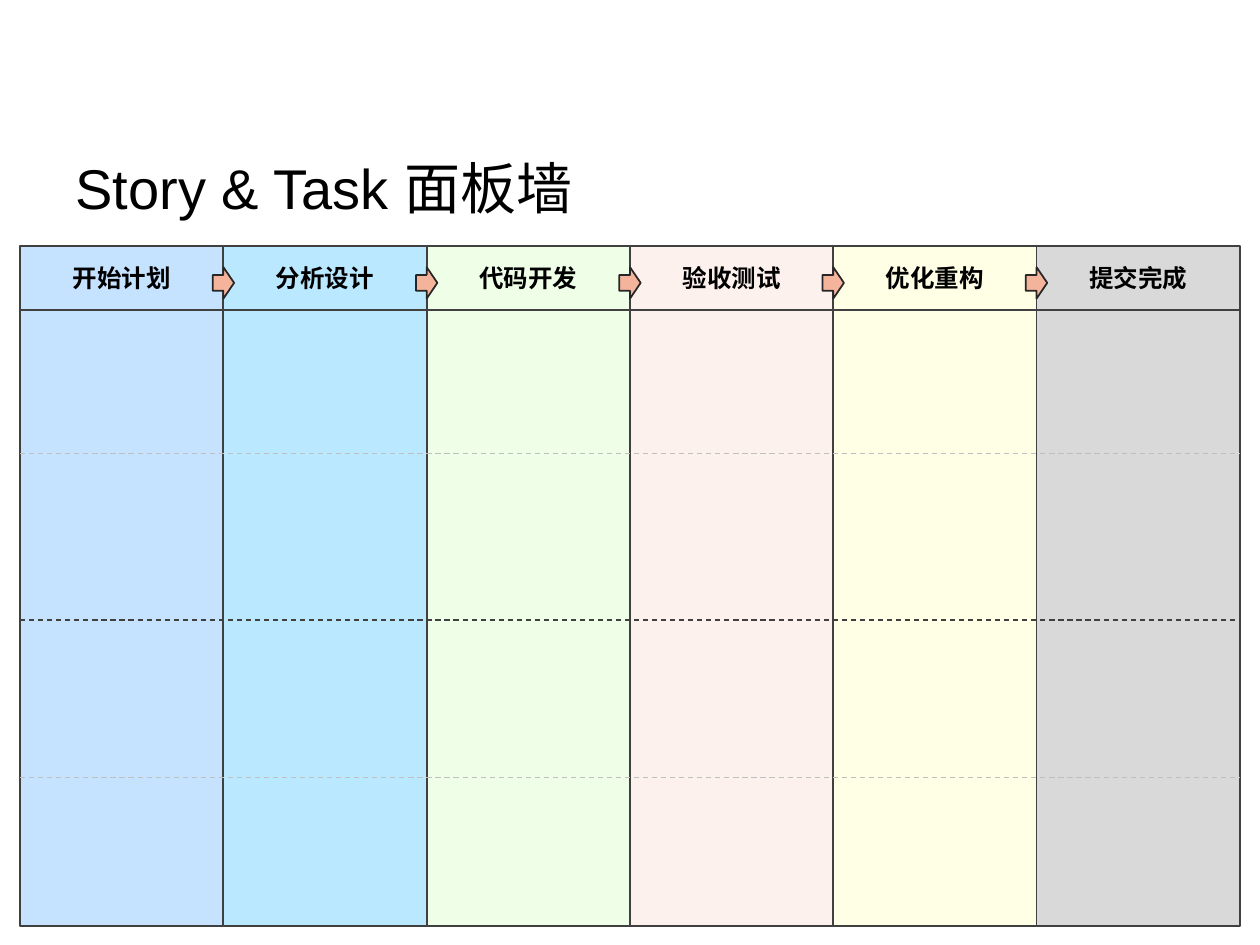
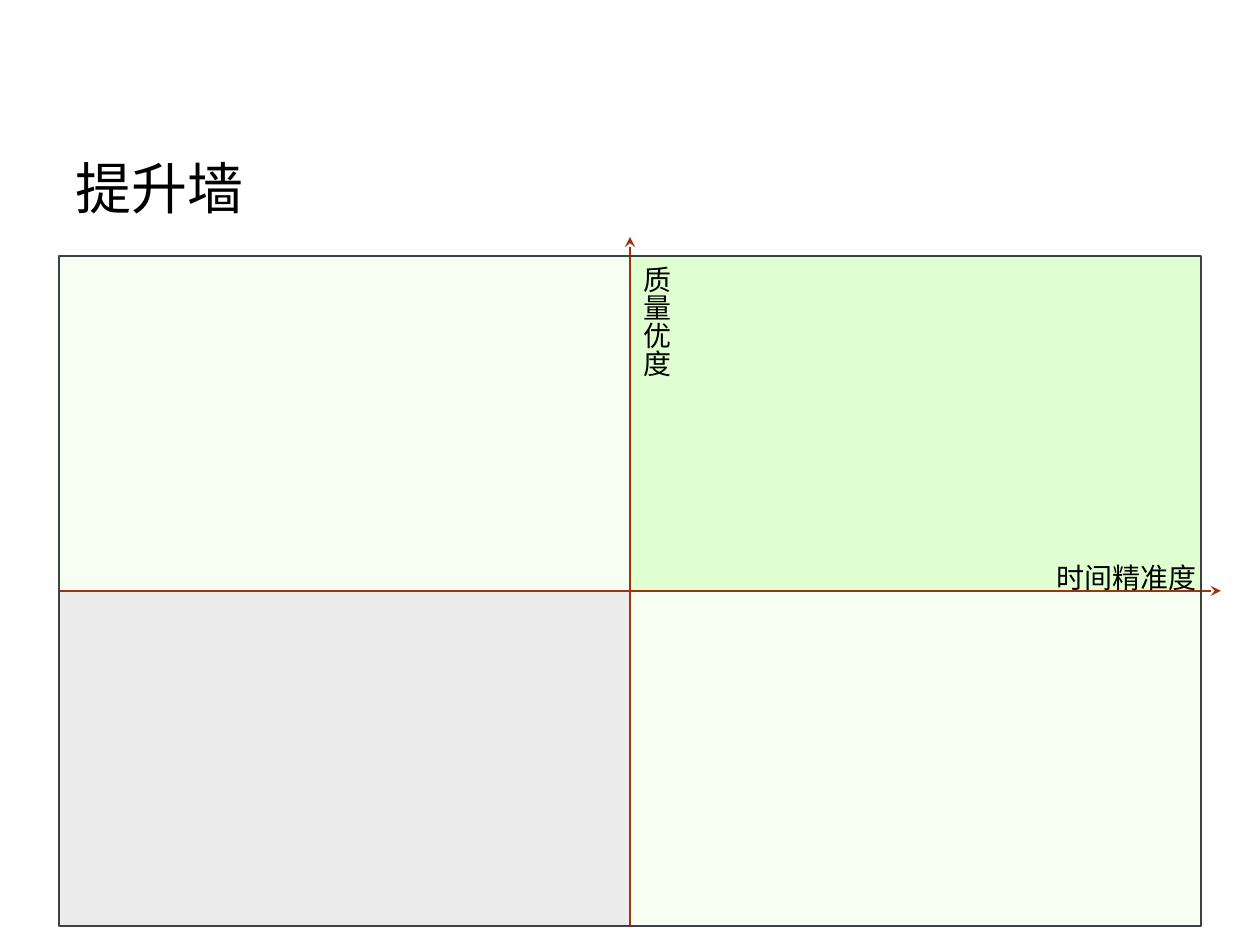
from dataclasses import dataclass

from lxml import etree
from pptx import Presentation
from pptx import util as u
from pptx.dml.color import RGBColor
from pptx.enum import dml, shapes, text
from pptx.oxml import ns

# Content
STAGES = [
    ("开始计划", "C5E2FF"),
    ("分析设计", "B9E8FF"),
    ("代码开发", "EFFFE7"),
    ("验收测试", "FDF1ED"),
    ("优化重构", "FFFFE5"),
    ("提交完成", "D9D9D9"),
]
# Swim lane dividers: height on the slide, colour
LANES = [(3.6, "BFBFBF"), (4.92, "404040"), (6.17, "BFBFBF")]
# Quadrants: column, row, colour
QUADRANTS = [(1, 1, "F7FFF3"), (0, 0, "F7FFF3"), (1, 0, "E0FFD1"), (0, 1, "ECECEC")]


@dataclass(frozen=True)
class Theme:
    ink: str = "000000"
    border: str = "404040"
    arrow: str = "F4B39B"
    arrow_border: str = "262626"
    axis: str = "9E340F"
    title_font: str = "Arial"
    body_font: str = "Calibri"
    title_size: int = 32
    stage_size: int = 14
    axis_size: int = 16


THEME = Theme()
WIDTH, HEIGHT, BOTTOM = 10, 7.5, 7.35


# Shared helpers
def write(frame, words, font, size, bold=False, align=text.PP_ALIGN.LEFT):
    paragraph = frame.paragraphs[0]
    paragraph.alignment = align
    run = paragraph.add_run()
    run.text = words
    run.font.name, run.font.size, run.font.bold = font, u.Pt(size), bold
    run.font.color.rgb = RGBColor.from_string(THEME.ink)


def new_slide(deck, heading):
    slide = deck.slides.add_slide(deck.slide_layouts[5])
    title = slide.shapes.title
    title.left, title.top = u.Inches(0.5), u.Inches(0.86)
    title.width, title.height = u.Inches(9), u.Inches(1.25)
    title.text_frame.vertical_anchor = text.MSO_ANCHOR.MIDDLE
    write(title.text_frame, heading, THEME.title_font, THEME.title_size)
    return slide


def block(slide, box, fill=None, border=None, kind=shapes.MSO_SHAPE.RECTANGLE):
    part = slide.shapes.add_shape(kind, *map(u.Inches, box))
    part.shadow.inherit = False
    if fill:
        part.fill.solid()
        part.fill.fore_color.rgb = RGBColor.from_string(fill)
    else:
        part.fill.background()
    if border:
        part.line.color.rgb = RGBColor.from_string(border)
        part.line.width = u.Pt(1)
    else:
        part.line.fill.background()
    return part


def rule(slide, start, end, color, width):
    line = slide.shapes.add_connector(
        shapes.MSO_CONNECTOR.STRAIGHT, *map(u.Inches, (*start, *end)))
    line.line.color.rgb = RGBColor.from_string(color)
    line.line.width = u.Pt(width)
    etree.SubElement(line._element.spPr, ns.qn("a:effectLst"))
    return line


def axis(slide, start, end):
    line = rule(slide, start, end, THEME.axis, 1.5)
    head = etree.SubElement(line.line._get_or_add_ln(), ns.qn("a:tailEnd"))
    head.set("type", "stealth")


def axis_label(slide, words, box, vertical=False):
    frame = slide.shapes.add_textbox(*map(u.Inches, box)).text_frame
    frame.word_wrap = False
    frame.auto_size = text.MSO_AUTO_SIZE.SHAPE_TO_FIT_TEXT
    if vertical:
        frame._txBody.bodyPr.set("vert", "eaVert")
    write(frame, words, THEME.body_font, THEME.axis_size)


# Slide 1: task board
def task_board(deck):
    slide = new_slide(deck, "Story & Task 面板墙")
    margin, top, header = 0.16, 1.95, 0.51
    column = (WIDTH - 2 * margin) / len(STAGES)
    body_top = top + header
    lefts = [margin + i * column for i in range(len(STAGES))]

    for left, (stage, color) in zip(lefts, STAGES):
        heading = block(slide, (left, top, column, header), color, THEME.border)
        heading.text_frame.vertical_anchor = text.MSO_ANCHOR.MIDDLE
        write(heading.text_frame, stage, THEME.body_font, THEME.stage_size,
              bold=True, align=text.PP_ALIGN.CENTER)

    # Arrows sit centred on the column boundaries
    arrow_width, arrow_height = 0.17, 0.25
    for left in lefts[1:]:
        block(slide, (left - arrow_width / 2, 2.12, arrow_width, arrow_height),
              THEME.arrow, THEME.arrow_border, shapes.MSO_SHAPE.RIGHT_ARROW)

    for left, (_, color) in zip(lefts, STAGES):
        block(slide, (left, body_top, column, BOTTOM - body_top), color, THEME.border)

    for y, color in LANES:
        lane = rule(slide, (margin, y), (WIDTH - margin, y), color, 0.75)
        lane.line.dash_style = dml.MSO_LINE.DASH


# Slide 2: improvement quadrants
def improvement_wall(deck):
    slide = new_slide(deck, "提升墙")
    left, top = 0.47, 2.03
    wide, high = (WIDTH - 2 * left) / 2, (BOTTOM - top) / 2
    center_x, center_y = left + wide, top + high

    for col, row, color in QUADRANTS:
        block(slide, (left + col * wide, top + row * high, wide, high), color)

    axis(slide, (left, center_y), (9.69, center_y))
    axis(slide, (center_x, BOTTOM), (center_x, 1.88))
    axis_label(slide, "时间精准度", (8.29, 4.4, 1.32, 0.37))
    axis_label(slide, "质量优度", (4.92, 2.01, 0.47, 1), vertical=True)
    block(slide, (left, top, 2 * wide, 2 * high), border=THEME.border)


def main():
    deck = Presentation()
    deck.slide_width, deck.slide_height = u.Inches(WIDTH), u.Inches(HEIGHT)
    task_board(deck)
    improvement_wall(deck)
    deck.save("out.pptx")


if __name__ == "__main__":
    main()
